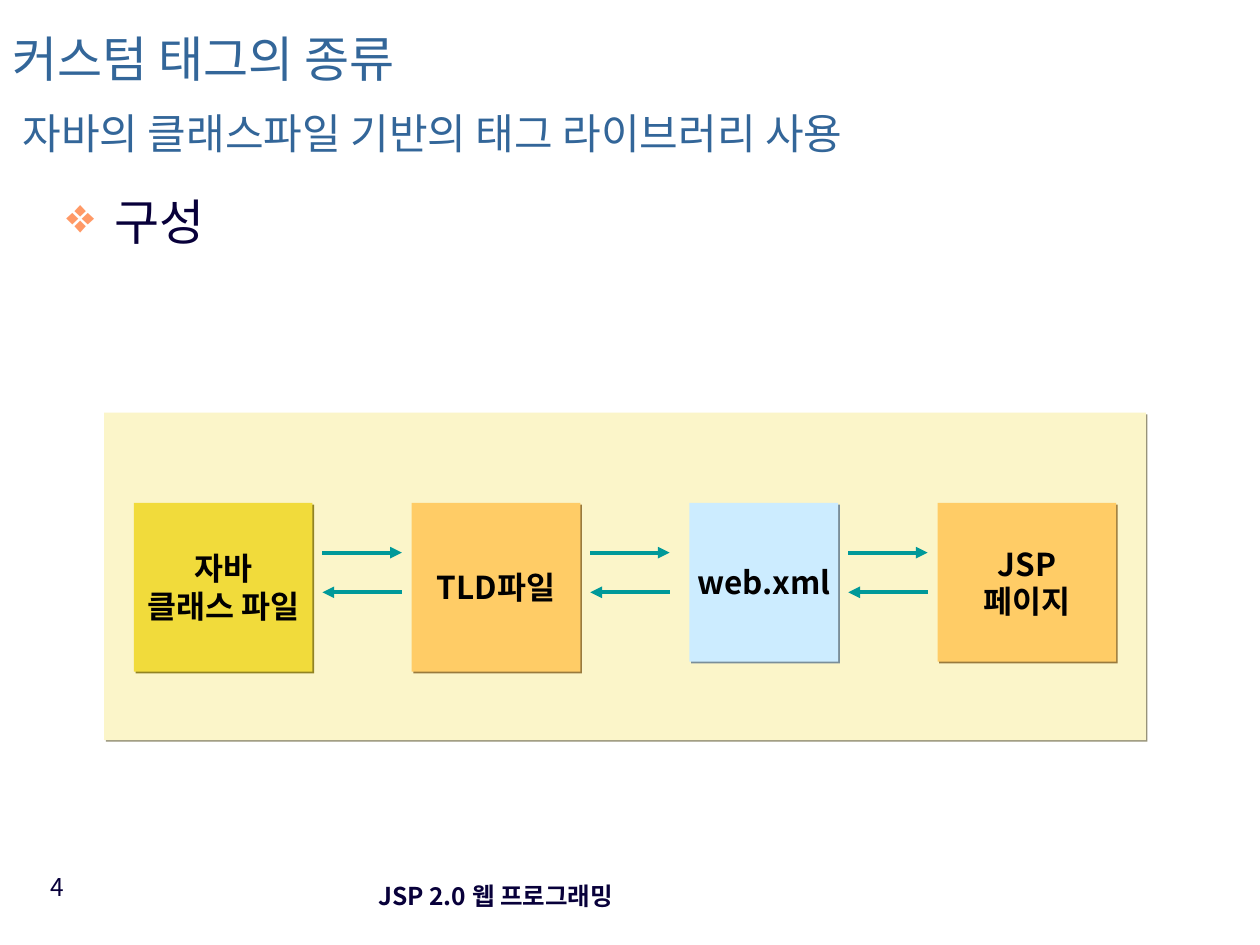
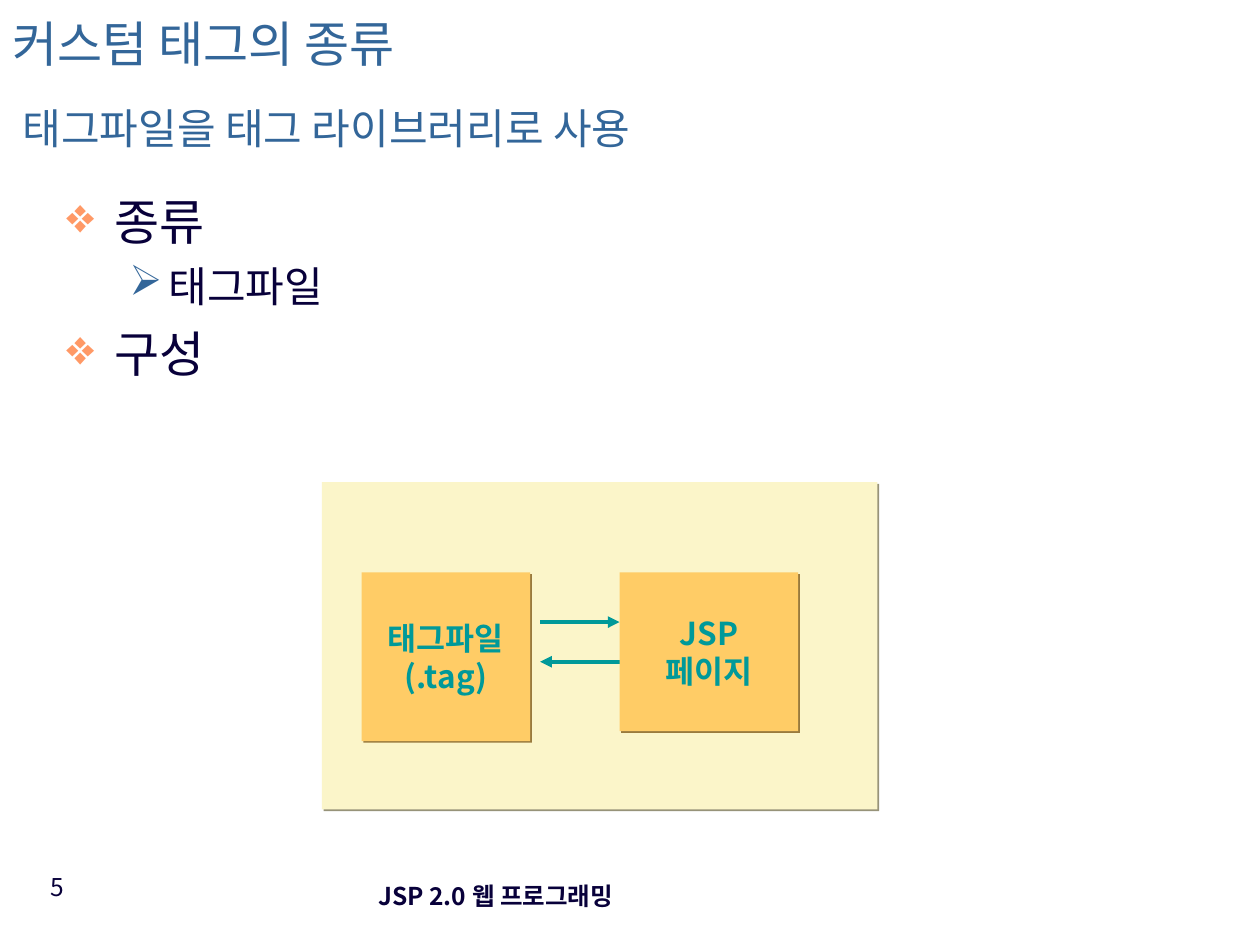
from lxml.etree import SubElement
from pptx import Presentation
from pptx.dml.color import RGBColor
from pptx.enum.shapes import MSO_CONNECTOR, MSO_SHAPE
from pptx.enum.text import MSO_ANCHOR, MSO_AUTO_SIZE, PP_ALIGN
from pptx.oxml.ns import qn
from pptx.util import Cm, Pt

# Shared look
FONT = "Noto Sans CJK KR"
BLUE, NAVY, BLACK, TEAL = "336699", "08003A", "010000", "009999"
CREAM, GOLD, AMBER, SKY = "FBF5C9", "F1DB3B", "FFCC66", "CCECFF"
SHADE = {CREAM: "979379", GOLD: "918323", AMBER: "997A3D", SKY: "7A8E99"}
# Bullet levels: sign, colour, text size, space before, margin, hang
LEVELS = [("❖", "FF9966", 28, 7, 0.97, 0.97),
          ("➢", BLUE, 24, 6, 2.06, 0.79)]


def color(code):
    return RGBColor.from_string(code)


def style(para, size, code, bold=False, align=PP_ALIGN.LEFT):
    para.alignment = align
    font = para.font
    font.size, font.bold, font.name = Pt(size), bold, FONT
    font.color.rgb = color(code)
    props = para._p.pPr.find(qn("a:defRPr"))
    SubElement(props, qn("a:ea"), typeface=FONT)


def write(frame, lines, *look):
    frame.text = "\n".join(lines)
    for para in frame.paragraphs:
        style(para, *look)


def add_text(slide, box, anchor=MSO_ANCHOR.TOP):
    frame = slide.shapes.add_textbox(*map(Cm, box)).text_frame
    frame.word_wrap = True
    frame.vertical_anchor = anchor
    return frame


def add_rect(slide, box, fill):
    """Flat rectangle with a thin hard shadow."""
    rect = slide.shapes.add_shape(MSO_SHAPE.RECTANGLE, *map(Cm, box))
    rect.fill.solid()
    rect.fill.fore_color.rgb = color(fill)
    rect.line.fill.background()
    rect.shadow.inherit = False
    effect = rect._element.spPr.find(qn("a:effectLst"))
    shadow = SubElement(effect, qn("a:outerShdw"), blurRad="0",
                        dist=str(Pt(1.4)), dir="2700000", algn="ctr",
                        rotWithShape="0")
    SubElement(shadow, qn("a:srgbClr"), val=SHADE[fill])
    return rect


def add_arrow(slide, start, end, y):
    line = slide.shapes.add_connector(
        MSO_CONNECTOR.STRAIGHT, Cm(start), Cm(y), Cm(end), Cm(y))
    line.line.color.rgb = color(TEAL)
    line.line.width = Pt(2.25)
    SubElement(line.line._get_or_add_ln(), qn("a:tailEnd"), type="triangle")
    SubElement(line._element.spPr, qn("a:effectLst"))


def add_title(slide, box, topic, gap):
    title = slide.shapes.title
    title.left, title.top, title.width, title.height = map(Cm, box)
    frame = title.text_frame
    frame.word_wrap = True
    frame.auto_size = MSO_AUTO_SIZE.NONE
    frame.vertical_anchor = MSO_ANCHOR.MIDDLE
    frame.text = "커스텀 태그의 종류\n" + topic
    head, sub = frame.paragraphs
    for para, size in ((head, 28), (sub, 24)):
        para.line_spacing = 0.7
        para.space_before = Pt(0)
        style(para, size, BLUE)
    sub.space_before = Pt(gap)
    sub._p.pPr.set("marL", str(Cm(0.2)))


def add_footer(slide, number):
    frame = add_text(slide, (5.97, 17.42, 8.05, 1.27), MSO_ANCHOR.MIDDLE)
    write(frame, ["JSP 2.0 웹 프로그래밍"], 14, NAVY, True, PP_ALIGN.CENTER)
    frame = add_text(slide, (0.36, 17.45, 1.19, 1.32))
    write(frame, [str(number)], 14, NAVY, False, PP_ALIGN.RIGHT)


def add_list(slide, box, items):
    frame = add_text(slide, box)
    frame.text = "\n".join(text for text, _ in items)
    for i, (para, (_, level)) in enumerate(zip(frame.paragraphs, items)):
        sign, tint, size, before, margin, hang = LEVELS[level]
        para.level = level
        para.space_before = Pt(before if i else 0)
        props = para._p.pPr
        props.set("marL", str(Cm(margin)))
        props.set("indent", str(-Cm(hang)))
        SubElement(SubElement(props, qn("a:buClr")), qn("a:srgbClr"), val=tint)
        SubElement(props, qn("a:buChar"), char=sign)
        style(para, size, NAVY)


def add_flow(slide, box, pad, steps, ink):
    """Panel of steps (lines, width, height, fill, gap after), joined by arrows."""
    add_rect(slide, box, CREAM)
    x, y = box[0] + pad, box[1] + 1.82
    for lines, width, height, fill, gap in steps:
        step = add_rect(slide, (x, y, width, height), fill)
        frame = step.text_frame
        frame.word_wrap = False
        frame.vertical_anchor = MSO_ANCHOR.MIDDLE
        write(frame, lines, 18, ink, True, PP_ALIGN.CENTER)
        x += width
        if gap:
            near, far = x + 0.2, x + 1.8
            add_arrow(slide, near, far, y + 1)
            add_arrow(slide, far, near, y + 1.8)
        x += gap


def add_page(deck, number, title, items, flow):
    slide = deck.slides.add_slide(deck.slide_layouts[5])
    add_footer(slide, number)
    add_title(slide, *title)
    add_list(slide, (1.09, 3.73, 23.67, 2.67 * len(items) ** 0.6), items)
    add_flow(slide, *flow)


def main():
    deck = Presentation()
    deck.slide_width, deck.slide_height = Cm(25.4), Cm(19.05)
    page = (["JSP", "페이지"], 3.6, 3.2, AMBER, 0)

    # Tag library from Java classes
    steps = [(["자바", "클래스 파일"], 3.6, 3.4, GOLD, 2),
             (["TLD파일"], 3.4, 3.4, AMBER, 2.2),
             (["web.xml"], 3, 3.2, SKY, 2), page]
    add_page(deck, 4,
             ((0, 0.53, 20.3, 3), "자바의 클래스파일 기반의 태그 라이브러리 사용", 20),
             [("구성", 0)],
             ((2.1, 8.32, 21, 6.6), 0.6, steps, BLACK))

    # Tag library from tag files
    steps = [(["태그파일", "(.tag)"], 3.4, 3.4, AMBER, 1.8), page]
    add_page(deck, 5,
             ((0, 0.53, 17.5, 2.6), "태그파일을 태그 라이브러리로 사용", 26),
             [("종류", 0), ("태그파일", 1), ("구성", 0)],
             ((6.49, 9.72, 11.2, 6.6), 0.8, steps, TEAL))
    deck.save("out.pptx")


if __name__ == "__main__":
    main()
